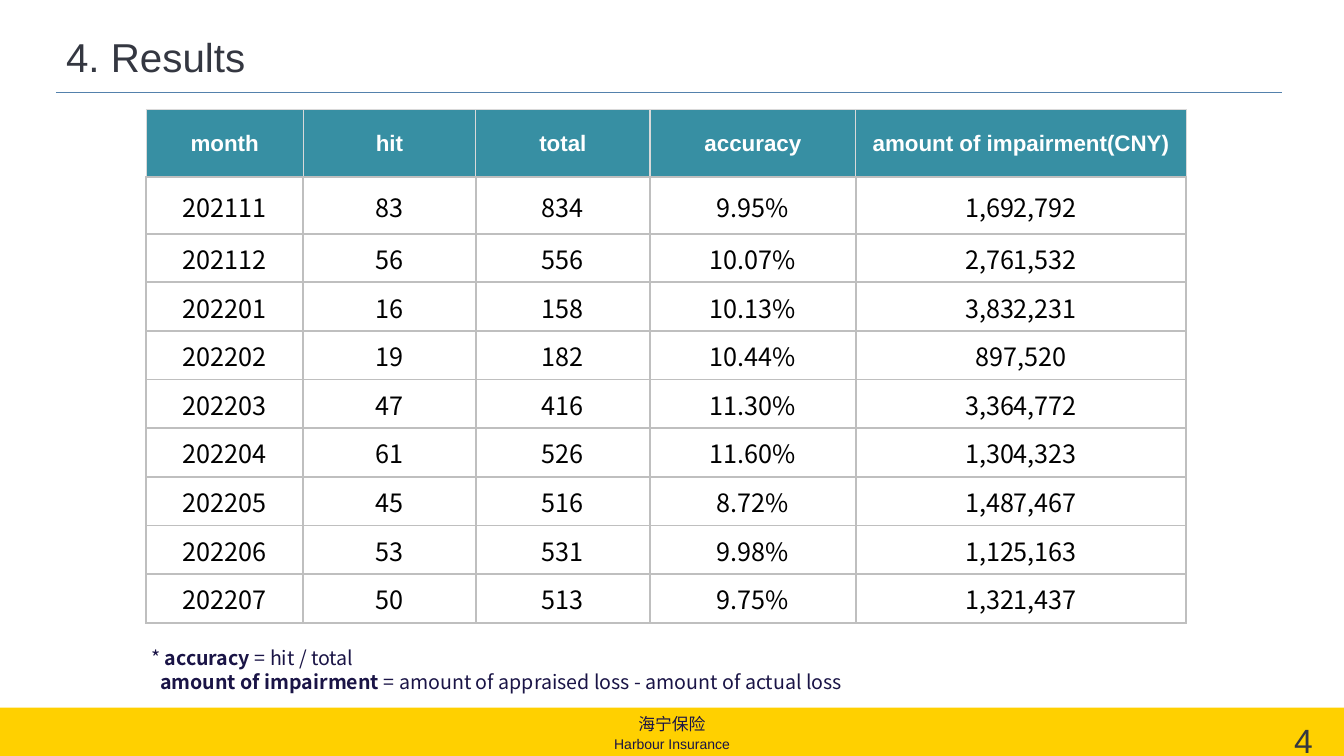
import pptx
import pptx.util
import pptx.dml.color
import pptx.enum.shapes
import pptx.enum.text
import pptx.oxml
import pptx.oxml.ns
import lxml.etree

Pt = pptx.util.Pt
qn = pptx.oxml.ns.qn
ALIGN = pptx.enum.text.PP_ALIGN
MIDDLE = pptx.enum.text.MSO_ANCHOR.MIDDLE

COLORS = {
    "white": "FFFFFF", "black": "000000", "title": "343741",
    "navy": "1A1446", "yellow": "FFD000", "rule": "5381AC",
    "teal": "06748C", "grid": "BFBFBF", "head_grid": "D9D9D9",
}
SANS = "Arial"
CJK = "Noto Sans CJK SC"

HEADERS = ["month", "hit", "total", "accuracy", "amount of impairment(CNY)"]
RESULTS = [
    ["202111", "83", "834", "9.95%", "1,692,792"],
    ["202112", "56", "556", "10.07%", "2,761,532"],
    ["202201", "16", "158", "10.13%", "3,832,231"],
    ["202202", "19", "182", "10.44%", "897,520"],
    ["202203", "47", "416", "11.30%", "3,364,772"],
    ["202204", "61", "526", "11.60%", "1,304,323"],
    ["202205", "45", "516", "8.72%", "1,487,467"],
    ["202206", "53", "531", "9.98%", "1,125,163"],
    ["202207", "50", "513", "9.75%", "1,321,437"],
]
COL_WIDTHS = [112.3, 123.1, 124.6, 146.9, 236.2]
HEAD_HEIGHT, FIRST_HEIGHT, ROW_HEIGHT = 48.2, 40.3, 34.75
NOTES = [
    ("* ", "accuracy ", "= hit / total"),
    ("", "amount of impairment ",
     "= amount of appraised loss - amount of actual loss"),
]


def rgb(name):
    return pptx.dml.color.RGBColor.from_string(COLORS[name])


def format_run(r, size, font, color, bold=False):
    r.font.size, r.font.name, r.font.bold = Pt(size), font, bold
    r.font.color.rgb = rgb(color)
    ea = lxml.etree.SubElement(r.font._element, qn("a:ea"))
    ea.set("typeface", font)


def set_insets(obj, left, top, right, bottom):
    obj.margin_left, obj.margin_top = Pt(left), Pt(top)
    obj.margin_right, obj.margin_bottom = Pt(right), Pt(bottom)


def add_text(slide, box, text, size, font, color, align=ALIGN.LEFT):
    tf = slide.shapes.add_textbox(*map(Pt, box)).text_frame
    tf.word_wrap = True
    tf.text = text
    p = tf.paragraphs[0]
    p.alignment = align
    format_run(p.runs[0], size, font, color)
    return tf


def add_title(slide, box, text):
    left, top, width, height = box
    sp = slide.shapes.title
    sp.left, sp.top, sp.width, sp.height = map(Pt, box)
    tf = sp.text_frame
    tf.text = text
    tf.vertical_anchor = MIDDLE
    tf.auto_size = pptx.enum.text.MSO_AUTO_SIZE.NONE
    tf.paragraphs[0].alignment = ALIGN.LEFT
    format_run(tf.paragraphs[0].runs[0], 28.8, SANS, "title")
    # Rule under the title
    y = top + height + 6.5
    line = slide.shapes.add_connector(
        pptx.enum.shapes.MSO_CONNECTOR.STRAIGHT,
        Pt(left), Pt(y), Pt(left + width + 3.6), Pt(y))
    line.line.color.rgb = rgb("rule")
    line.line.width = Pt(0.75)
    lxml.etree.SubElement(line._element.spPr, qn("a:effectLst"))


def add_footer(slide, box, page):
    left, top, width, height = box
    sp = slide.shapes.add_shape(
        pptx.enum.shapes.MSO_SHAPE.RECTANGLE, *map(Pt, box))
    sp.shadow.inherit = False
    sp.fill.solid()
    sp.fill.fore_color.rgb = rgb("yellow")
    sp.line.fill.background()
    # Company name in two languages, centred
    name_left = left + (width - 144) / 2
    for text, dy, h, size, font in [("海宁保险", 2.9, 17.3, 12, CJK),
                                    ("Harbour Insurance", 20.2, 10.8, 10, SANS)]:
        tf = add_text(slide, (name_left, top + dy, 144, h), text, size, font,
                      "navy", ALIGN.CENTER)
        set_insets(tf, 0, 0, 0, 0)
        tf.vertical_anchor = MIDDLE
    # Page number
    add_text(slide, (left + width - 42.7, top + 5, 35.3, 24.5), page, 24,
             SANS, "title")


def set_borders(cell, sides):
    tcPr = cell._tc.get_or_add_tcPr()
    for i, (side, (color, width)) in enumerate(sides.items()):
        ln = pptx.oxml.parse_xml(
            f'<a:{side} xmlns:a="http://schemas.openxmlformats.org/drawingml/2006/main"'
            f' w="{Pt(width)}"><a:solidFill><a:srgbClr val="{COLORS[color]}"/>'
            f'</a:solidFill></a:{side}>')
        tcPr.insert(i, ln)


def fill_cell(cell, text, is_header):
    cell.text = text
    cell.vertical_anchor = MIDDLE
    set_insets(cell, 0.7, 0.7, 0.7, 0)
    p = cell.text_frame.paragraphs[0]
    p.alignment = ALIGN.CENTER
    cell.fill.solid()
    sides = dict.fromkeys(("lnL", "lnR", "lnT", "lnB"), ("grid", 1.5))
    if is_header:
        format_run(p.runs[0], 16, SANS, "white", True)
        cell.fill.fore_color.rgb = rgb("teal")
        clr = cell._tc.tcPr.find(".//" + qn("a:srgbClr"))
        lxml.etree.SubElement(clr, qn("a:alpha")).set("val", "80000")
        sides.update(dict.fromkeys(("lnL", "lnR", "lnT"), ("head_grid", 1)))
    else:
        format_run(p.runs[0], 18, CJK, "black")
        cell.fill.fore_color.rgb = rgb("white")
    set_borders(cell, sides)


def add_results(slide, left, top):
    rows = [HEADERS] + RESULTS
    heights = [HEAD_HEIGHT, FIRST_HEIGHT] + [ROW_HEIGHT] * (len(rows) - 2)
    table = slide.shapes.add_table(
        len(rows), len(HEADERS), Pt(left), Pt(top),
        Pt(sum(COL_WIDTHS)), Pt(sum(heights))).table
    table.horz_banding = False
    for col, width in zip(table.columns, COL_WIDTHS):
        col.width = Pt(width)
    for i, (values, height) in enumerate(zip(rows, heights)):
        table.rows[i].height = Pt(height)
        for j, text in enumerate(values):
            fill_cell(table.cell(i, j), text, i == 0)


def add_notes(slide, box):
    tf = slide.shapes.add_textbox(*map(Pt, box)).text_frame
    tf.word_wrap = True
    tf.vertical_anchor = MIDDLE
    set_insets(tf, 3.6, 3.6, 3.6, 3.6)
    for i, (mark, term, meaning) in enumerate(NOTES):
        p = tf.paragraphs[0] if i == 0 else tf.add_paragraph()
        p.line_spacing = Pt(17)
        if not mark:
            p._p.get_or_add_pPr().set("marL", str(Pt(6.3)))
        for text, bold in [(mark, False), (term, True), (meaning, False)]:
            if text:
                r = p.add_run()
                r.text = text
                format_run(r, 14, CJK, "navy", bold)


def main():
    prs = pptx.Presentation()
    prs.slide_width, prs.slide_height = Pt(960), Pt(540)
    slide = prs.slides.add_slide(prs.slide_layouts[5])
    add_title(slide, (40, 21.5, 872, 38.2), "4. Results")
    add_footer(slide, (0, 505.5, 960, 34.5), "4")
    add_results(slide, 104.4, 78.5)
    add_notes(slide, (104.4, 458, 582.5, 41))
    prs.save("out.pptx")


if __name__ == "__main__":
    main()
